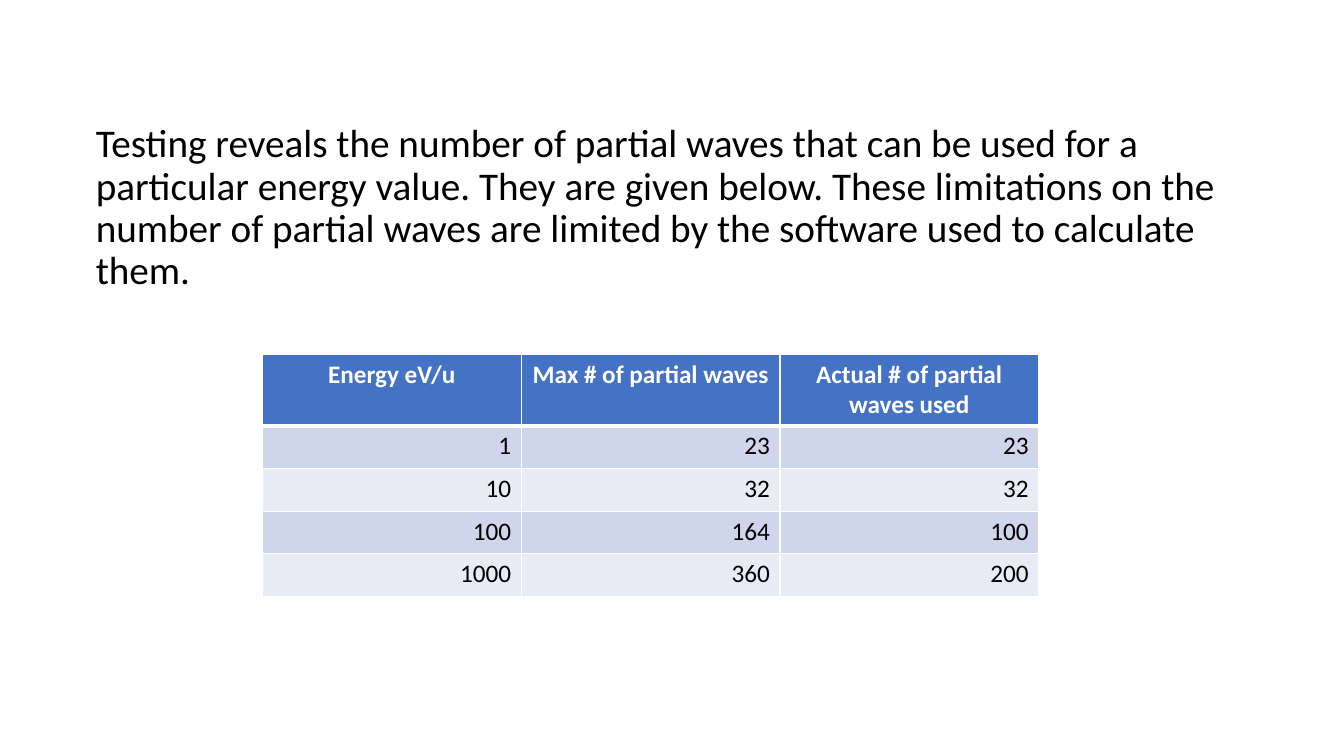
from lxml import etree
from pptx import Presentation
from pptx.enum import text
from pptx.dml.color import RGBColor
from pptx.oxml import ns
from pptx.util import Pt

HUES = {"ink": "000000", "white": "FFFFFF", "head": "4472C4",
        "odd": "CFD5EA", "even": "E9EBF5"}
INTRO = ("Testing reveals the number of partial waves that can be used for a "
         "particular energy value. They are given below. These limitations on the "
         "number of partial waves are limited by the software used to calculate them.")
ROWS = [
    ("Energy eV/u", "Max # of partial waves", "Actual # of partial waves used"),
    (1, 23, 23),
    (10, 32, 32),
    (100, 164, 100),
    (1000, 360, 200),
]


def hue(name):
    return RGBColor.from_string(HUES[name])


def put(target, form):
    for key, value in form.items():
        setattr(target, key, value)


def style(para, size, color, bold, form):
    put(para, form)
    put(para.font, {"name": "Calibri", "size": Pt(size), "bold": bold})
    para.font.color.rgb = hue(color)


def edge(cell, side, width):
    props = cell._tc.get_or_add_tcPr()
    line = etree.SubElement(props, ns.qn("a:ln" + side), w=str(Pt(width)))
    fill = etree.SubElement(line, ns.qn("a:solidFill"))
    etree.SubElement(fill, ns.qn("a:srgbClr"), val=HUES["white"])


def add_intro(slide, left, top, width, height):
    body = slide.placeholders[1]
    put(body, {"left": Pt(left), "top": Pt(top),
               "width": Pt(width), "height": Pt(height)})
    frame = body.text_frame
    frame.text = INTRO
    put(frame, {"word_wrap": True, "auto_size": text.MSO_AUTO_SIZE.NONE,
                "vertical_anchor": text.MSO_ANCHOR.TOP})
    para = frame.paragraphs[0]
    props = para._p.get_or_add_pPr()
    props.set("marL", "0")
    props.set("indent", "0")
    etree.SubElement(props, ns.qn("a:buNone"))
    style(para, 28, "ink", False,
          {"line_spacing": 0.9, "space_before": Pt(0),
           "alignment": text.PP_ALIGN.LEFT})


def add_waves(slide, left, top, width, height):
    count, cols = len(ROWS), len(ROWS[0])
    high = 50
    low = (height - high) / (count - 1)
    grid = slide.shapes.add_table(count, cols, Pt(left), Pt(top),
                                  Pt(width), Pt(height)).table
    for col in grid.columns:
        col.width = Pt(width / cols)
    for r, row in enumerate(ROWS):
        head = r == 0
        grid.rows[r].height = Pt(high if head else low)
        shade = "head" if head else "odd" if r % 2 else "even"
        align = text.PP_ALIGN.CENTER if head else text.PP_ALIGN.RIGHT
        for c, value in enumerate(row):
            cell = grid.cell(r, c)
            cell.text = str(value)
            for side in "LRTB":
                thick = (head and side == "B") or (r == 1 and side == "T")
                edge(cell, side, 3 if thick else 1)
            cell.fill.solid()
            cell.fill.fore_color.rgb = hue(shade)
            style(cell.text_frame.paragraphs[0], 18,
                  "white" if head else "ink", head, {"alignment": align})


def main():
    deck = Presentation()
    put(deck, {"slide_width": Pt(960), "slide_height": Pt(540)})
    slide = deck.slides.add_slide(deck.slide_layouts[1])
    title = slide.shapes.title._element
    title.getparent().remove(title)
    add_intro(slide, 61.2, 85, 828, 144)
    add_waves(slide, 187.5, 253, 554.4, 172)
    deck.save("out.pptx")


if __name__ == "__main__":
    main()
